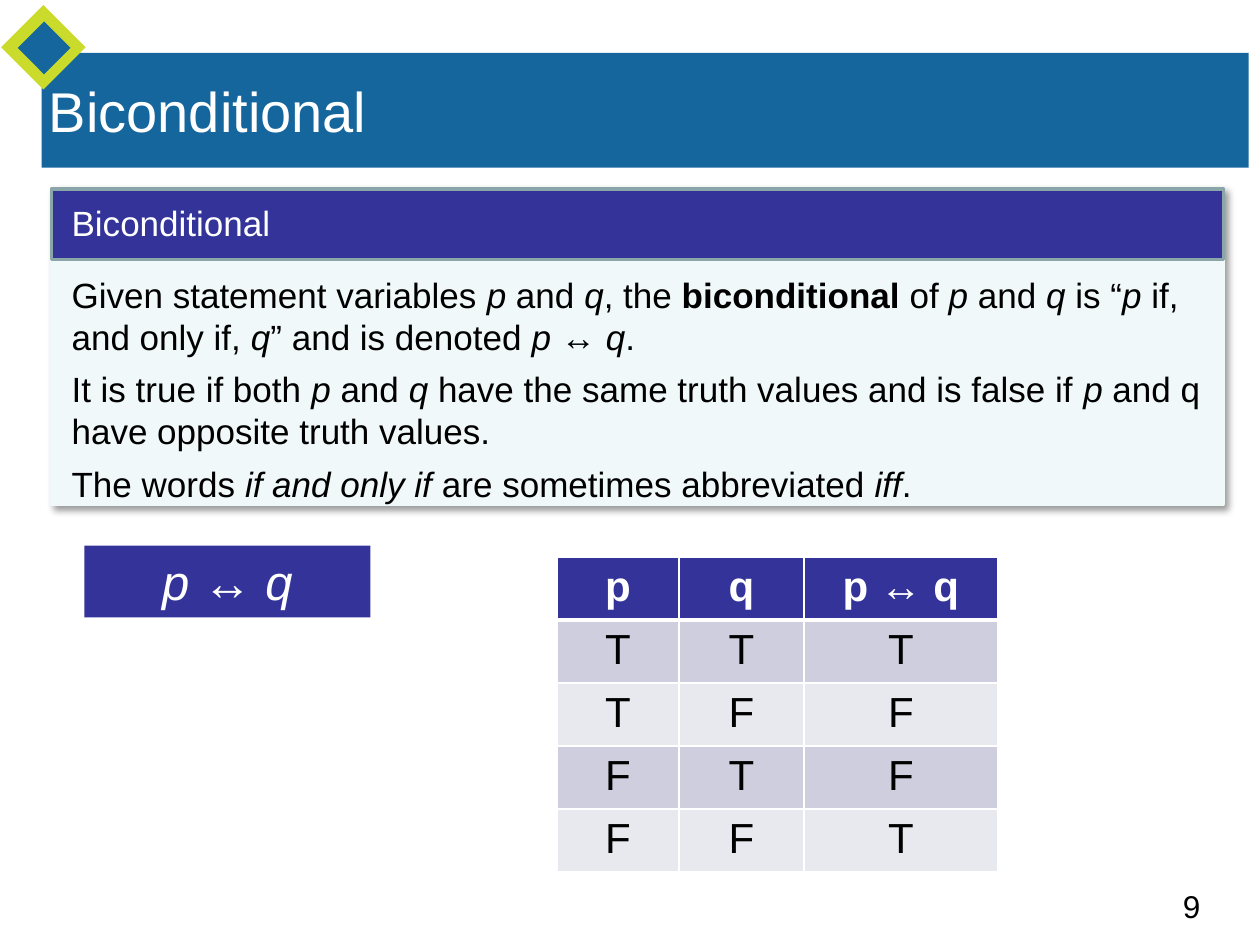
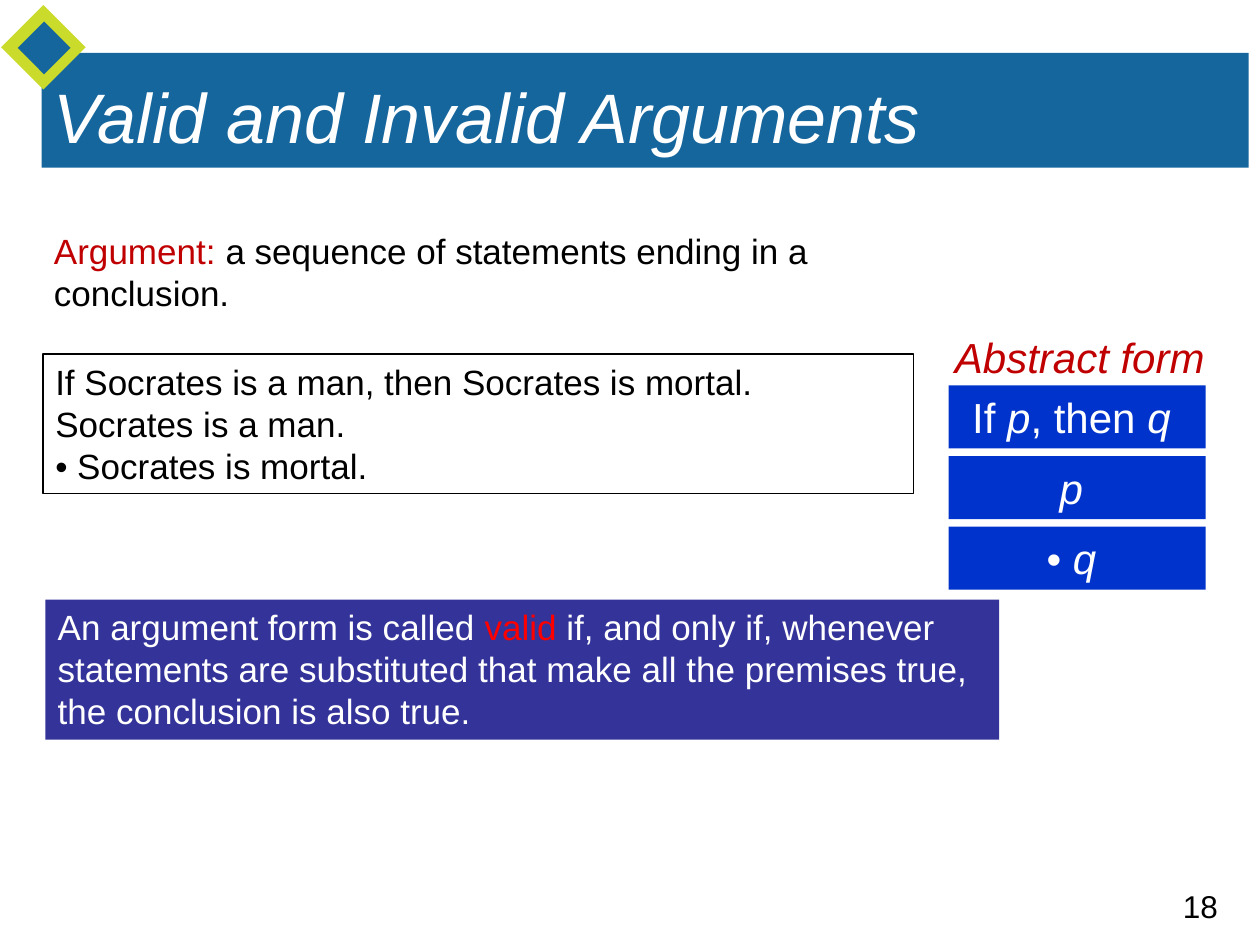
"""Build two logic slides: the biconditional, and valid and invalid arguments."""
from lxml.etree import SubElement
from pptx import Presentation
from pptx.dml.color import RGBColor
from pptx.enum.shapes import MSO_SHAPE as SHAPE
from pptx.enum.text import MSO_ANCHOR as ANCHOR, PP_ALIGN as ALIGN
from pptx.oxml.ns import qn
from pptx.util import Inches, Pt

WHITE = RGBColor(0xFF, 0xFF, 0xFF)
BLACK = RGBColor(0x00, 0x00, 0x00)
TEAL = RGBColor(0x16, 0x66, 0x9E)
LIME = RGBColor(0xCB, 0xDB, 0x2B)
INDIGO = RGBColor(0x33, 0x33, 0x99)
BLUE = RGBColor(0x00, 0x33, 0xCC)
PALE = RGBColor(0xF0, 0xF8, 0xF9)
GREY = RGBColor(0x8A, 0xA6, 0xA8)
CRIMSON = RGBColor(0xC0, 0x00, 0x00)
RED = RGBColor(0xFF, 0x00, 0x00)
ROW_FILLS = [RGBColor(0xE8, 0xE8, 0xEF), RGBColor(0xCE, 0xCE, 0xDE)]


def write(tf, text, size=20, color=BLACK, align=ALIGN.LEFT, anchor=ANCHOR.TOP,
          bold=False, accent=None, after=0):
    """Fill a frame: a line per paragraph, *italic*, ^accent colour, or bold without one^."""
    tf.word_wrap = True
    tf.vertical_anchor = anchor
    for n, line in enumerate(text.split("\n")):
        p = tf.add_paragraph() if n else tf.paragraphs[0]
        p.alignment = align
        p.space_after = Pt(after)
        for i, part in enumerate(line.split("*")):
            for j, piece in enumerate(part.split("^")):
                if piece:
                    r = p.add_run()
                    r.text = piece
                    r.font.name = "Arial"
                    r.font.size = Pt(size)
                    r.font.italic = i % 2 == 1
                    r.font.bold = bold or (j % 2 == 1 and accent is None)
                    r.font.color.rgb = accent if j % 2 and accent else color


def add_box(s, x, y, w, h, text="", fill=None, line=None, width=2, shape=SHAPE.RECTANGLE, **fmt):
    """Add a shape with an optional fill, outline and text."""
    sp = s.shapes.add_shape(shape, Inches(x), Inches(y), Inches(w), Inches(h))
    sp.shadow.inherit = False
    if fill is None:
        sp.fill.background()
    else:
        sp.fill.solid()
        sp.fill.fore_color.rgb = fill
    if line is None:
        sp.line.fill.background()
    else:
        sp.line.color.rgb = line
        sp.line.width = Pt(width)
    if text:
        write(sp.text_frame, text, **fmt)
    return sp


prs = Presentation()
prs.slide_width, prs.slide_height = Inches(10), Inches(7.5)

titles = [
    ("Biconditional", 32, (0.29, 0.08, 9.42, 1.58), "9"),
    ("*Valid and Invalid Arguments*", 40, (0.33, 0.5, 9.67, 0.83), "18"),
]
slides = []
for title, size, place, number in titles:
    s = prs.slides.add_slide(prs.slide_layouts[6])
    add_box(s, 0.33, 0.42, 9.58, 0.91, fill=TEAL)
    add_box(s, 0.01, 0.04, 0.67, 0.67, fill=LIME, shape=SHAPE.DIAMOND)
    add_box(s, 0.14, 0.17, 0.42, 0.42, fill=TEAL, shape=SHAPE.DIAMOND)
    tb = s.shapes.add_textbox(*map(Inches, place))
    write(tb.text_frame, title, size=size, color=WHITE, anchor=ANCHOR.MIDDLE)
    tb = s.shapes.add_textbox(Inches(9.29), Inches(6.99), Inches(0.71), Inches(0.4))
    write(tb.text_frame, number, size=18)
    slides.append(s)

s = slides[0]
card = add_box(s, 0.41, 1.5, 9.3, 2.5, fill=PALE, line=PALE)
effects = card._element.spPr.find(qn("a:effectLst"))
shadow = SubElement(effects, qn("a:outerShdw"), blurRad=str(Pt(4)), dist=str(Pt(3)),
                    dir="2700000", algn="tl", rotWithShape="0")
black = SubElement(shadow, qn("a:srgbClr"), val="000000")
SubElement(black, qn("a:alpha"), val="40000")
add_box(s, 0.41, 1.5, 9.3, 0.56, fill=INDIGO, line=GREY)
tb = s.shapes.add_textbox(Inches(0.47), Inches(1.55), Inches(5.6), Inches(0.36))
write(tb.text_frame, "Biconditional", color=WHITE)
definition = (
    "Given statement variables *p* and *q*, the ^biconditional ^of *p* and *q* is “*p* if, "
    "and only if, *q*” and is denoted *p *↔ *q*.\n"
    "It is true if both *p* and *q* have the same truth values and is false if *p* and q "
    "have opposite truth values.\n"
    "The words *if and only if *are sometimes abbreviated *iff*."
)
tb = s.shapes.add_textbox(Inches(0.47), Inches(2.12), Inches(9.24), Inches(1.59))
write(tb.text_frame, definition, after=6)
add_box(s, 0.67, 4.33, 2.27, 0.57, "*p *↔ *q*", fill=INDIGO, size=28, color=WHITE,
        align=ALIGN.CENTER)

truth = [("p", "q", "p ↔ q"), "TTT", "TFF", "FTF", "FFT"]
table = s.shapes.add_table(5, 3, Inches(4.42), Inches(4.42), Inches(3.5), Inches(2.5)).table
for column, width in zip(table.columns, (0.97, 0.99, 1.54)):
    column.width = Inches(width)
for i, values in enumerate(truth):
    for j, value in enumerate(values):
        cell = table.cell(i, j)
        header = i == 0
        tcPr = cell._tc.get_or_add_tcPr()
        for side in ("L", "R", "T", "B"):
            thick = (header and side == "B") or (i == 1 and side == "T")
            ln = SubElement(tcPr, qn("a:ln" + side), w=str(Pt(3 if thick else 1)))
            SubElement(SubElement(ln, qn("a:solidFill")), qn("a:srgbClr"), val=str(WHITE))
        cell.fill.solid()
        cell.fill.fore_color.rgb = INDIGO if header else ROW_FILLS[i % 2]
        write(cell.text_frame, value, size=24, color=WHITE if header else BLACK,
              bold=header, align=ALIGN.CENTER)

s = slides[1]
tb = s.shapes.add_textbox(Inches(0.33), Inches(1.77), Inches(6.32), Inches(0.77))
write(tb.text_frame, "^Argument: ^a sequence of statements ending in a conclusion.", accent=CRIMSON)
argument = ("If Socrates is a man, then Socrates is mortal.\n"
            "Socrates is a man.\n"
            "• Socrates is mortal.")
add_box(s, 0.34, 2.81, 6.91, 1.11, argument, line=BLACK, width=0.75)
tb = s.shapes.add_textbox(Inches(7.47), Inches(2.58), Inches(2.2), Inches(0.5))
write(tb.text_frame, "*Abstract form*", size=24, color=CRIMSON, align=ALIGN.CENTER)
for i, step in enumerate(["If *p*, then *q *", "*p *", "• *q *"]):
    add_box(s, 7.53, 3.06 + 0.56 * i, 2.04, 0.5, step, fill=BLUE, size=24, color=WHITE,
            align=ALIGN.CENTER)
validity = ("An argument form is called ^valid^ if, and only if, whenever statements are "
            "substituted that make all the premises true, the conclusion is also true.")
add_box(s, 0.36, 4.76, 7.57, 1.11, validity, fill=INDIGO, color=WHITE, accent=RED)

prs.save("out.pptx")
